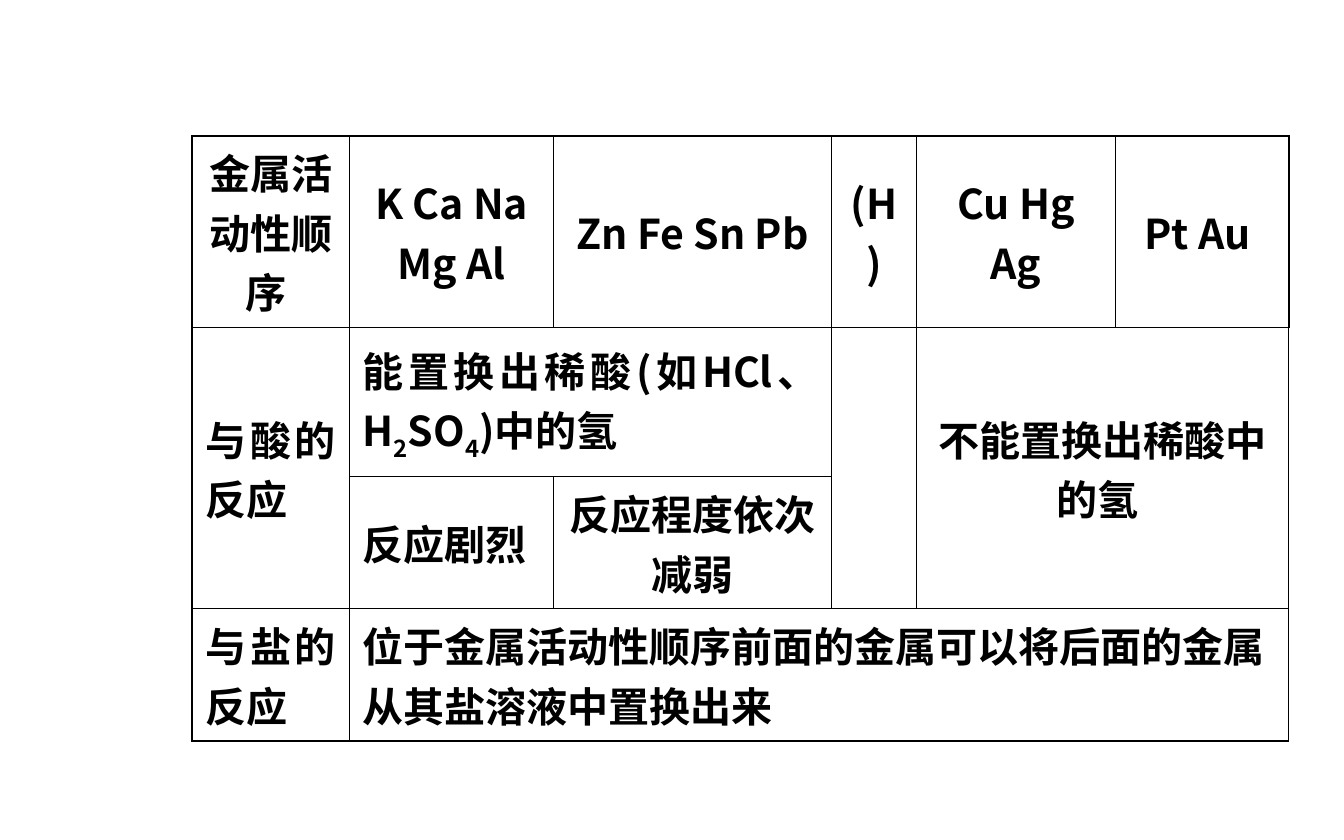
from dataclasses import dataclass

from lxml.etree import SubElement
from pptx import Presentation
from pptx.dml.color import RGBColor
from pptx.enum.text import MSO_ANCHOR, PP_ALIGN
from pptx.oxml.ns import qn
from pptx.util import Inches, Pt


@dataclass(frozen=True)
class Theme:
    font: str = "Noto Sans CJK SC"
    size: float = 22
    ink: str = "000000"
    outer_line: float = 1.08
    inner_line: float = 0.45


theme = Theme()
CENTER, JUSTIFY, LEFT = PP_ALIGN.CENTER, PP_ALIGN.JUSTIFY, PP_ALIGN.LEFT
MIDDLE, TOP = MSO_ANCHOR.MIDDLE, MSO_ANCHOR.TOP


def add_border(cell, side, width):
    ln = SubElement(cell._tc.get_or_add_tcPr(), qn(f"a:ln{side}"), w=str(Pt(width)))
    fill = SubElement(ln, qn("a:solidFill"))
    SubElement(fill, qn("a:srgbClr"), val=theme.ink)


def write_cell(cell, runs, align, anchor):
    """Fill a cell with (text, is_subscript) runs."""
    cell.vertical_anchor = anchor
    p = cell.text_frame.paragraphs[0]
    p.alignment = align
    for text, subscript in runs:
        r = p.add_run()
        r.text = text
        if subscript:
            r._r.get_or_add_rPr().set("baseline", "-25000")
    p.font.name = theme.font
    p.font.size = Pt(theme.size)
    p.font.bold = True
    p.font.color.rgb = RGBColor.from_string(theme.ink)
    SubElement(p.font._element, qn("a:ea"), typeface=theme.font)


prs = Presentation()
prs.slide_width, prs.slide_height = Inches(10), Inches(6.25)
s = prs.slides.add_slide(prs.slide_layouts[6])

# Table grid
col_widths = [1.17, 1.52, 2.07, 0.63, 1.48, 1.29]
row_heights = [1.2, 1.11, 0.87, 0.9]
n_rows, n_cols = len(row_heights), len(col_widths)
table = s.shapes.add_table(n_rows, n_cols, Inches(1.43), Inches(1.01),
                           Inches(sum(col_widths)), Inches(sum(row_heights))).table
table.first_row = table.horz_banding = False
for column, width in zip(table.columns, col_widths):
    column.width = Inches(width)
for row, height in zip(table.rows, row_heights):
    row.height = Inches(height)

# Borders: heavier around the outside, no fill
for i in range(n_rows):
    for j in range(n_cols):
        cell = table.cell(i, j)
        on_edge = {"L": j == 0, "R": j == n_cols - 1, "T": i == 0, "B": i == n_rows - 1}
        for side, outer in on_edge.items():
            add_border(cell, side, theme.outer_line if outer else theme.inner_line)
        cell.fill.background()

# Merged areas: first and last cell
for first, last in [((1, 0), (2, 0)), ((1, 1), (1, 2)), ((1, 3), (2, 3)),
                    ((1, 4), (2, 5)), ((3, 1), (3, 5))]:
    table.cell(*first).merge(table.cell(*last))

# Activity series along the top
series = ["金属活动性顺序 ", "K Ca Na Mg Al", "Zn Fe Sn Pb", "(H)", "Cu Hg Ag", "Pt Au "]
for j, text in enumerate(series):
    write_cell(table.cell(0, j), [(text, False)], CENTER, MIDDLE)

# Reactions with acids and salts
reactions = [
    (1, 0, "与酸的反应 ", JUSTIFY, MIDDLE),
    (1, 4, "不能置换出稀酸中的氢 ", CENTER, MIDDLE),
    (2, 1, "反应剧烈", JUSTIFY, MIDDLE),
    (2, 2, "反应程度依次减弱", CENTER, TOP),
    (3, 0, "与盐的反应 ", JUSTIFY, TOP),
    (3, 1, "位于金属活动性顺序前面的金属可以将后面的金属从其盐溶液中置换出来", LEFT, TOP),
]
for i, j, text, align, anchor in reactions:
    write_cell(table.cell(i, j), [(text, False)], align, anchor)

acid_runs = [("能置换出稀酸(如HCl、H", False), ("2", True), ("SO", False),
             ("4", True), (")中的氢 ", False)]
write_cell(table.cell(1, 1), acid_runs, JUSTIFY, MIDDLE)

prs.save("out.pptx")
